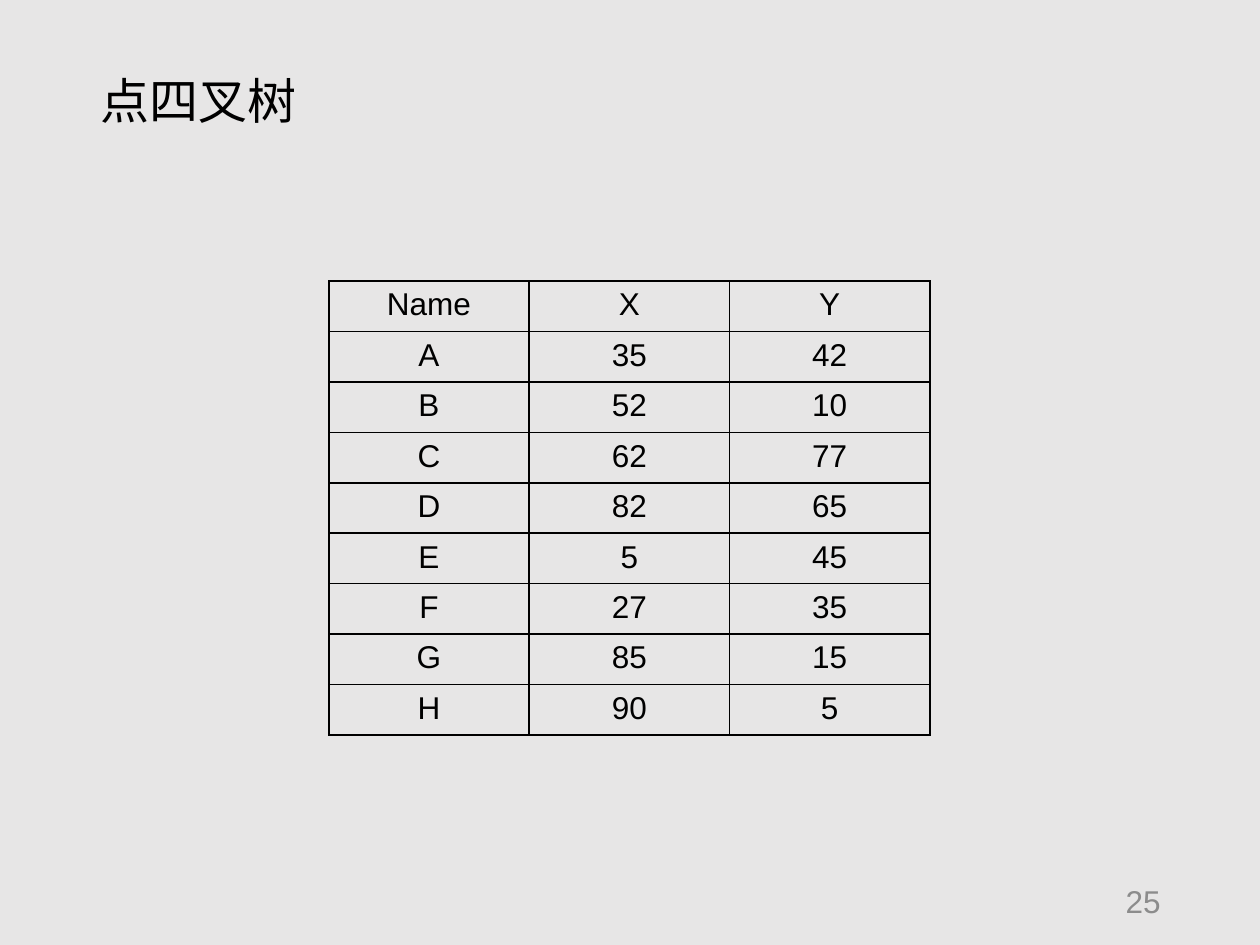
from lxml import etree
from pptx import Presentation
from pptx.dml.color import RGBColor
from pptx.enum.text import MSO_ANCHOR, PP_ALIGN
from pptx.oxml.ns import qn
from pptx.util import Inches, Pt

LEFT, CENTER, RIGHT = PP_ALIGN.LEFT, PP_ALIGN.CENTER, PP_ALIGN.RIGHT
TOP, MIDDLE = MSO_ANCHOR.TOP, MSO_ANCHOR.MIDDLE
BLACK, GRAY, BACKGROUND = "000000", "8C8C8C", "E7E6E6"


def add_text(frame, text, size, color, align):
    para = frame.paragraphs[0]
    para.alignment = align
    span = para.add_run()
    span.text = text
    span.font.name = "Arial"
    span.font.size = Pt(size)
    span.font.color.rgb = RGBColor.from_string(color)


def add_borders(cell, color, width):
    properties = cell._tc.get_or_add_tcPr()
    for side in ("a:lnL", "a:lnR", "a:lnT", "a:lnB"):
        line = etree.SubElement(properties, qn(side), w=str(Pt(width)))
        fill = etree.SubElement(line, qn("a:solidFill"))
        etree.SubElement(fill, qn("a:srgbClr"), val=color)


deck = Presentation()
deck.slide_width, deck.slide_height = Inches(10), Inches(7.5)
page = deck.slides.add_slide(deck.slide_layouts[6])
page.background.fill.solid()
page.background.fill.fore_color.rgb = RGBColor.from_string(BACKGROUND)

# Page number and title
for text, left, top, width, height, size, color, align, anchor in (
    ("25", 7.06, 6.95, 2.25, 0.4, 18, GRAY, RIGHT, MIDDLE),
    ("点四叉树", 0.7, 0.51, 2.66, 0.57, 28, BLACK, LEFT, TOP),
):
    box = page.shapes.add_textbox(Inches(left), Inches(top), Inches(width), Inches(height))
    box.text_frame.word_wrap = True
    box.text_frame.vertical_anchor = anchor
    add_text(box.text_frame, text, size, color, align)

# Table of points
points = [
    ("Name", "X", "Y"),
    ("A", "35", "42"),
    ("B", "52", "10"),
    ("C", "62", "77"),
    ("D", "82", "65"),
    ("E", "5", "45"),
    ("F", "27", "35"),
    ("G", "85", "15"),
    ("H", "90", "5"),
]
row_height, column_width = Inches(0.33), Inches(1.59)
table = page.shapes.add_table(
    len(points), 3, Inches(2.61), Inches(2.23), 3 * column_width, len(points) * row_height
).table
table.first_row = table.horz_banding = False
for column in table.columns:
    column.width = column_width
for row, values in zip(table.rows, points):
    row.height = row_height
    for cell, value in zip(row.cells, values):
        add_borders(cell, BLACK, 1)
        cell.fill.background()
        add_text(cell.text_frame, value, 18, BLACK, CENTER)

deck.save("out.pptx")
